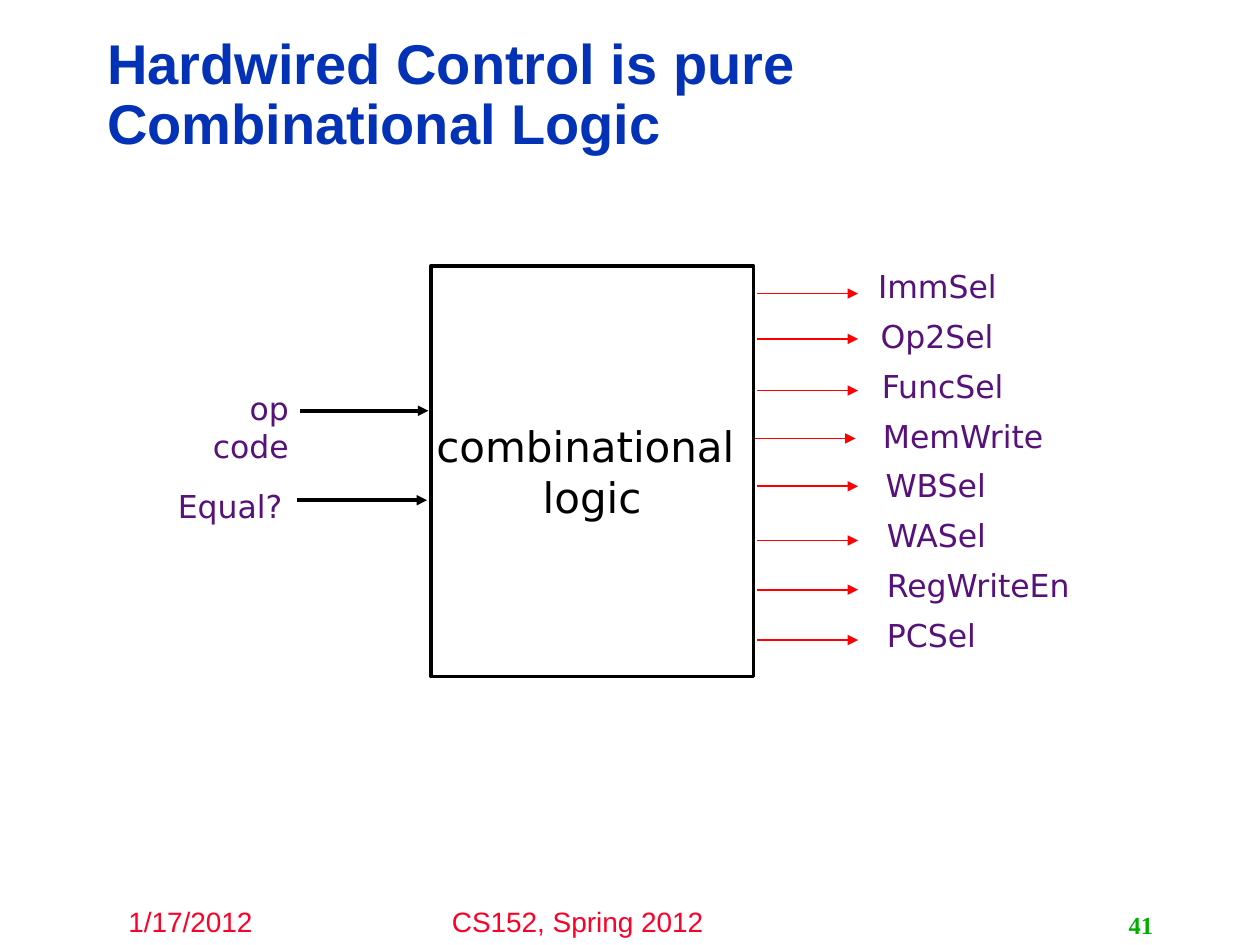
from typing import NamedTuple

from lxml.etree import SubElement
from pptx import Presentation
from pptx.dml.color import RGBColor
from pptx.enum.shapes import MSO_CONNECTOR, MSO_SHAPE
from pptx.enum.text import MSO_ANCHOR, PP_ALIGN
from pptx.oxml.ns import qn
from pptx.util import Inches, Pt

SANS = "DejaVu Sans"
BLACK, RED, PURPLE = "000000", "FF0000", "56127A"


class Style(NamedTuple):
    size: float
    font: str
    color: str
    bold: bool = False


class Label(NamedTuple):
    text: str
    left: float
    top: float
    width: float
    height: float
    style: Style
    align: PP_ALIGN = PP_ALIGN.LEFT
    wrap: bool = False
    anchor: MSO_ANCHOR = MSO_ANCHOR.TOP


class Arrow(NamedTuple):
    left: float
    right: float
    y: float
    color: str
    width: float


class Signal(NamedTuple):
    name: str
    left: float
    width: float
    y: float
    start: float = 6.01


SIGNAL = Style(18, SANS, PURPLE)
FOOTER = Style(16, "Arial", "FC0128")
NUMBER = Style(14, "Times New Roman", "00AE00", True)
TITLE = Style(32, "Arial", "0332B7", True)
LOGIC = Style(24, SANS, BLACK)

LABELS = [
    Label("1/17/2012", 0.92, 7.13, 1.2, 0.37, FOOTER),
    Label("CS152, Spring 2012", 2.92, 7.13, 3.33, 0.37, FOOTER,
          PP_ALIGN.CENTER, True),
    Label("41", 7.17, 7.18, 2.08, 0.32, NUMBER, PP_ALIGN.RIGHT,
          anchor=MSO_ANCHOR.MIDDLE),
    Label("op code", 1.29, 3.04, 1.1, 0.4, SIGNAL, PP_ALIGN.RIGHT, True),
    Label("Equal?", 1.3, 3.82, 1.04, 0.4, SIGNAL, PP_ALIGN.RIGHT),
]
INPUTS = [
    Arrow(2.38, 3.4, 3.26, BLACK, 2),
    Arrow(2.36, 3.39, 3.97, BLACK, 2),
]
OUTPUTS = [
    Signal("ImmSel", 6.87, 1.19, 2.33),
    Signal("Op2Sel", 6.89, 1.11, 2.69),
    Signal("FuncSel", 6.9, 1.19, 3.1),
    Signal("MemWrite", 6.91, 1.47, 3.48, 5.99),
    Signal("WBSel", 6.93, 1.01, 3.86),
    Signal("WASel", 6.94, 1.01, 4.29),
    Signal("RegWriteEn", 6.94, 1.66, 4.68),
    Signal("PCSel", 6.94, 0.92, 5.08),
]
FIRST, LAST = 2.07, 4.84
STEP = (LAST - FIRST) / (len(OUTPUTS) - 1)


def rgb(code: str) -> RGBColor:
    return RGBColor.from_string(code)


def add_run(para, text: str, style: Style) -> None:
    run = para.add_run()
    run.text = text
    font = run.font
    font.size = Pt(style.size)
    font.name = style.font
    font.bold = style.bold
    font.color.rgb = rgb(style.color)


def add_label(slide, label: Label) -> None:
    box = slide.shapes.add_textbox(
        Inches(label.left), Inches(label.top),
        Inches(label.width), Inches(label.height))
    frame = box.text_frame
    frame.word_wrap = label.wrap
    frame.vertical_anchor = label.anchor
    para = frame.paragraphs[0]
    para.alignment = label.align
    add_run(para, label.text, label.style)


def add_arrow(slide, arrow: Arrow) -> None:
    y = Inches(arrow.y)
    link = slide.shapes.add_connector(
        MSO_CONNECTOR.STRAIGHT, Inches(arrow.left), y, Inches(arrow.right), y)
    link.line.color.rgb = rgb(arrow.color)
    link.line.width = Pt(arrow.width)
    SubElement(link.line._get_or_add_ln(), qn("a:tailEnd"), type="triangle")
    SubElement(link._element.spPr, qn("a:effectLst"))


def add_title(slide) -> None:
    title = slide.shapes.title
    title.left, title.top = Inches(0.75), Inches(0.36)
    title.width, title.height = Inches(7.98), Inches(0.81)
    frame = title.text_frame
    frame.word_wrap = True
    frame.vertical_anchor = MSO_ANCHOR.MIDDLE
    para = frame.paragraphs[0]
    para.alignment = PP_ALIGN.LEFT
    para.line_spacing = 0.9
    add_run(para, "Hardwired Control is pure Combinational Logic", TITLE)


def add_logic(slide) -> None:
    """Draw the block that turns the inputs into control signals."""
    block = slide.shapes.add_shape(
        MSO_SHAPE.RECTANGLE, Inches(3.42), Inches(2.11),
        Inches(2.56), Inches(3.26))
    block.shadow.inherit = False
    block.fill.background()
    block.line.color.rgb = rgb(BLACK)
    block.line.width = Pt(2)
    frame = block.text_frame
    frame.word_wrap = False
    frame.vertical_anchor = MSO_ANCHOR.MIDDLE
    first, second = frame.paragraphs[0], frame.add_paragraph()
    for para, text in ((first, "combinational "), (second, "logic")):
        para.alignment = PP_ALIGN.CENTER
        add_run(para, text, LOGIC)


def main() -> None:
    deck = Presentation()
    deck.slide_width, deck.slide_height = Inches(10), Inches(7.5)
    slide = deck.slides.add_slide(deck.slide_layouts[5])
    add_title(slide)
    add_logic(slide)
    for label in LABELS:
        add_label(slide, label)
    for arrow in INPUTS:
        add_arrow(slide, arrow)
    for row, out in enumerate(OUTPUTS):
        add_arrow(slide, Arrow(out.start, out.start + 0.8, out.y, RED, 1))
        add_label(slide, Label(out.name, out.left, FIRST + row * STEP,
                               out.width, 0.4, SIGNAL))
    deck.save("out.pptx")


if __name__ == "__main__":
    main()
